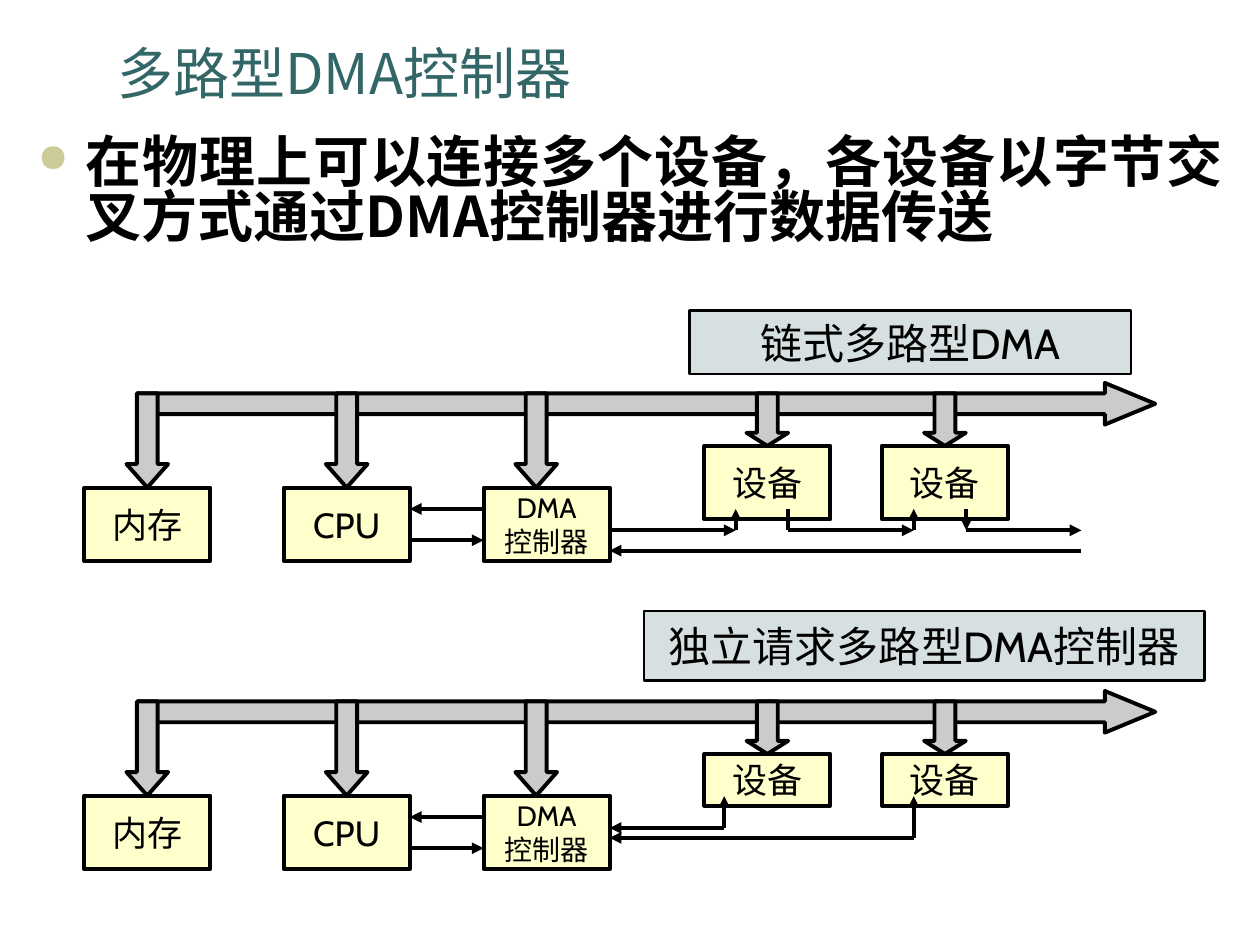
from lxml import etree
from pptx import Presentation
from pptx.dml.color import RGBColor
from pptx.enum.shapes import MSO_CONNECTOR, MSO_SHAPE
from pptx.enum.text import MSO_ANCHOR, PP_ALIGN
from pptx.oxml.ns import qn
from pptx.util import Cm, Pt

STRAIGHT = MSO_CONNECTOR.STRAIGHT
PROCESS, RIGHT_ARROW, DOWN_ARROW = (
    MSO_SHAPE.FLOWCHART_PROCESS, MSO_SHAPE.RIGHT_ARROW, MSO_SHAPE.DOWN_ARROW)
TOP, MIDDLE, BOTTOM = MSO_ANCHOR.TOP, MSO_ANCHOR.MIDDLE, MSO_ANCHOR.BOTTOM
LEFT, CENTER, JUSTIFY = PP_ALIGN.LEFT, PP_ALIGN.CENTER, PP_ALIGN.JUSTIFY

THEME = {
    "heading_font": "Noto Sans CJK SC", "diagram_font": "Cabin",
    "title": "336666", "text": "000000", "bullet": "CCCC99",
    "unit": "FFFFCC", "bus": "CBCBCB", "caption": "D6E0E0", "line": "000000",
    "heading_size": 32, "caption_size": 24, "unit_size": 20, "small_size": 16,
    "line_width": 2.25, "caption_line": 1.5,
}

TITLE = "多路型DMA控制器"
POINT = "在物理上可以连接多个设备，各设备以字节交叉方式通过DMA控制器进行数据传送"

# Lengths in cm; heights in a diagram are measured from the top of its drops.
UNIT_W, UNIT_H = 2.54, 1.48
DROP_W, LONG_DROP, SHORT_DROP = 0.84, 1.9, 1.06
BUS_LEFT, BUS_W, BUS_H = 2.77, 20.52, 0.84

# label, left, drop centre, drop length, type size
MAIN_UNITS = [
    ("内存", 1.7, 2.97, LONG_DROP, THEME["unit_size"]),
    ("CPU", 5.72, 6.99, LONG_DROP, THEME["unit_size"]),
    ("DMA\n控制器", 9.75, 10.81, LONG_DROP, THEME["small_size"]),
]
DEVICES = [
    ("设备", 14.2, 15.47, SHORT_DROP, THEME["unit_size"]),
    ("设备", 17.78, 19.05, SHORT_DROP, THEME["unit_size"]),
]
# start x, start y, end x, end y, arrowhead at the end
CPU_WIRES = [(9.75, 2.33, 8.26, 2.33, True), (8.26, 2.96, 9.75, 2.96, True)]
DIAGRAMS = [
    {
        "top": 7.93, "device_h": UNIT_H,
        "caption": ("链式多路型DMA", 13.9, 6.26, 8.9, 1.28),
        "wires": [
            (21.8, 3.17, 12.29, 3.17, True),
            (12.29, 2.76, 14.83, 2.76, True),
            (14.83, 2.76, 14.83, 2.33, True),
            (15.88, 2.33, 15.88, 2.76, False),
            (15.88, 2.76, 18.42, 2.76, True),
            (18.42, 2.76, 18.42, 2.33, True),
            (19.48, 2.33, 19.48, 2.76, True),
            (19.48, 2.76, 21.8, 2.76, True),
        ],
    },
    {
        "top": 14.14, "device_h": 1.04,
        "caption": ("独立请求多路型DMA控制器", 12.98, 12.32, 11.3, 1.4),
        "wires": [
            (14.6, 2.55, 12.29, 2.55, True),
            (14.6, 2.55, 14.6, 1.91, True),
            (18.42, 2.75, 12.29, 2.75, True),
            (18.42, 2.75, 18.42, 1.91, True),
        ],
    },
]


def write(frame, text, font_name, size, color, align, anchor, bold=False):
    frame.text = text
    frame.vertical_anchor = anchor
    for paragraph in frame.paragraphs:
        paragraph.alignment = align
        for run in paragraph.runs:
            font = run.font
            font.name, font.size, font.bold = font_name, Pt(size), bold
            font.color.rgb = RGBColor.from_string(color)
            east_asian = etree.Element(qn("a:ea"), typeface=font_name)
            run.font._element.find(qn("a:latin")).addnext(east_asian)


def add_bullet(paragraph):
    properties = paragraph._p.get_or_add_pPr()
    properties.set("marL", str(Cm(0.96)))
    properties.set("indent", str(-Cm(0.96)))
    color = etree.SubElement(properties, qn("a:buClr"))
    etree.SubElement(color, qn("a:srgbClr"), val=THEME["bullet"])
    etree.SubElement(properties, qn("a:buSzPct"), val="70000")
    etree.SubElement(properties, qn("a:buChar"), char="●")


def add_figure(slide, kind, left, top, width, height, fill,
               line_width=THEME["line_width"]):
    figure = slide.shapes.add_shape(
        kind, Cm(left), Cm(top), Cm(width), Cm(height))
    figure.shadow.inherit = False
    figure.fill.solid()
    figure.fill.fore_color.rgb = RGBColor.from_string(fill)
    figure.line.color.rgb = RGBColor.from_string(THEME["line"])
    figure.line.width = Pt(line_width)
    return figure


def add_label_box(slide, text, left, top, width, height, fill, size,
                  line_width=THEME["line_width"]):
    box = add_figure(slide, PROCESS, left, top, width, height, fill, line_width)
    write(box.text_frame, text, THEME["diagram_font"], size, THEME["text"],
          CENTER, MIDDLE)
    box.text_frame.word_wrap = False


def add_wire(slide, top, x1, y1, x2, y2, has_head):
    wire = slide.shapes.add_connector(
        STRAIGHT, Cm(x1), Cm(top + y1), Cm(x2), Cm(top + y2))
    wire.line.color.rgb = RGBColor.from_string(THEME["line"])
    wire.line.width = Pt(THEME["line_width"])
    if has_head:
        etree.SubElement(wire.line._get_or_add_ln(), qn("a:tailEnd"),
                         type="triangle")
    etree.SubElement(wire._element.spPr, qn("a:effectLst"))


def add_diagram(slide, diagram):
    top = diagram["top"]
    units = ([(unit, UNIT_H) for unit in MAIN_UNITS]
             + [(device, diagram["device_h"]) for device in DEVICES])
    for (label, left, _, drop, size), height in units:
        add_label_box(slide, label, left, top + drop, UNIT_W, height,
                      THEME["unit"], size)

    bus = add_figure(slide, RIGHT_ARROW, BUS_LEFT, top - BUS_H / 4,
                     BUS_W, BUS_H, THEME["bus"])
    bus.adjustments[1] = 1.21
    for (_, _, center, drop, _), _ in units:
        arrow = add_figure(slide, DOWN_ARROW, center - DROP_W / 2, top,
                           DROP_W, drop, THEME["bus"])
        arrow.adjustments[1] = drop / 4 / DROP_W

    for wire in CPU_WIRES + diagram["wires"]:
        add_wire(slide, top, *wire)
    add_label_box(slide, *diagram["caption"], THEME["caption"],
                  THEME["caption_size"], THEME["caption_line"])


def main():
    deck = Presentation()
    deck.slide_width, deck.slide_height = Cm(25.4), Cm(19.05)
    slide = deck.slides.add_slide(deck.slide_layouts[6])

    title = slide.shapes.add_textbox(Cm(2.11), Cm(0.53), Cm(21.39), Cm(1.6))
    title.text_frame.word_wrap = True
    title.text_frame.margin_top = title.text_frame.margin_bottom = 0
    write(title.text_frame, TITLE, THEME["heading_font"],
          THEME["heading_size"], THEME["title"], LEFT, BOTTOM)

    point = slide.shapes.add_textbox(Cm(0.51), Cm(2.51), Cm(24.41), Cm(3.4))
    point.text_frame.word_wrap = True
    point.text_frame.margin_top = Cm(0.28)
    write(point.text_frame, POINT, THEME["heading_font"],
          THEME["heading_size"], THEME["text"], JUSTIFY, TOP, bold=True)
    paragraph = point.text_frame.paragraphs[0]
    add_bullet(paragraph)
    paragraph.line_spacing = 0.82

    for diagram in DIAGRAMS:
        add_diagram(slide, diagram)
    deck.save("out.pptx")


if __name__ == "__main__":
    main()
